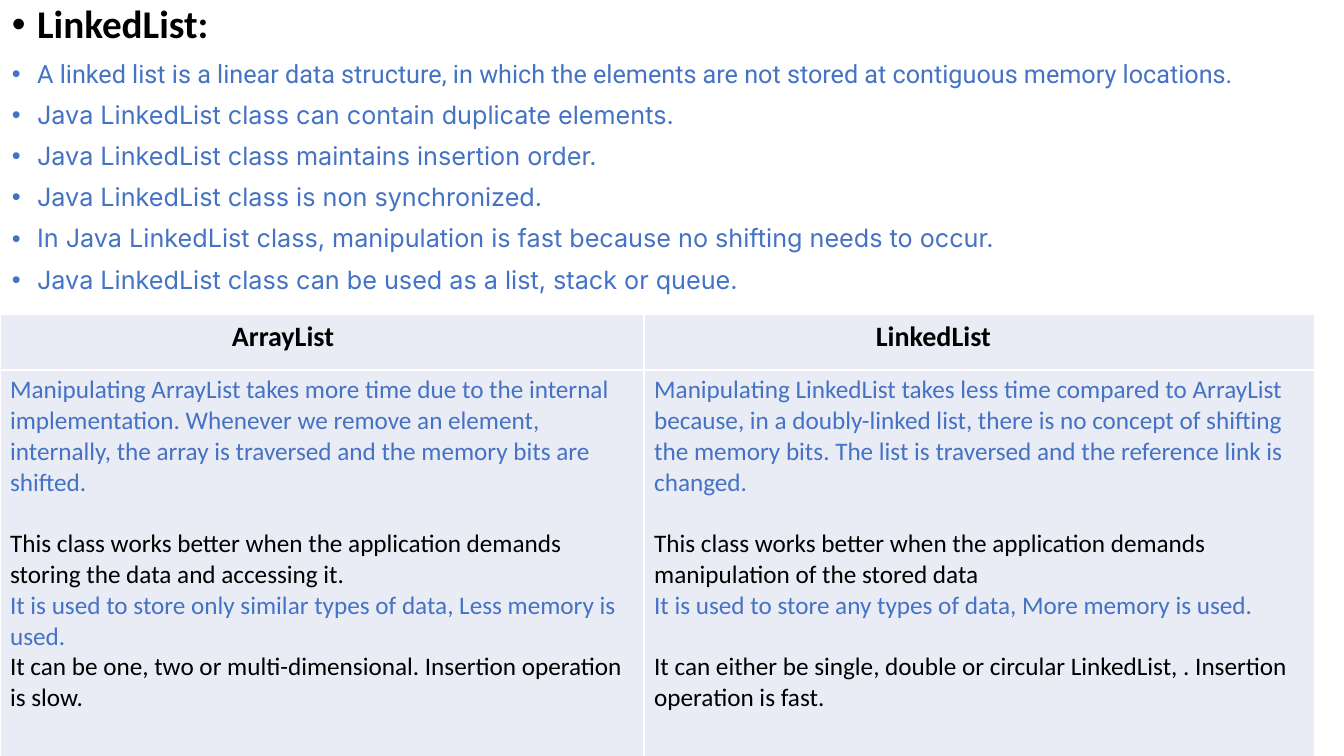
import pptx
import pptx.dml.color
import pptx.enum.text
import pptx.oxml
import pptx.oxml.ns
import pptx.util
from lxml import etree

Pt = pptx.util.Pt
ALIGN = pptx.enum.text.PP_ALIGN

COLOURS = {"black": "000000", "blue": "4472C4", "cell": "E9EBF5", "border": "FFFFFF"}
BULLET_INDENT = 18
HEADER_INDENT = 165.6
BLANK_LINE = 22

TITLE = {"size": Pt(28), "name": "Calibri", "bold": True}
DEFINITION = {"size": Pt(18), "name": "Roboto", "bold": False}
FEATURE = {"size": Pt(18), "name": "Inter", "bold": False}
HEADER = {"size": Pt(20), "name": "Calibri", "bold": True}
BODY = {"size": Pt(18), "name": "Calibri", "bold": False}

FEATURES = [
    "Java LinkedList class can contain duplicate elements.",
    "Java LinkedList class maintains insertion order.",
    "Java LinkedList class is non synchronized.",
    "In Java LinkedList class, manipulation is fast because no shifting needs to occur.",
    "Java LinkedList class can be used as a list, stack or queue.",
]
BULLETS = [
    ("LinkedList:", TITLE, "black", ALIGN.LEFT),
    ("A linked list is a linear data structure, in which the elements are not stored "
     "at contiguous memory locations.", DEFINITION, "blue", ALIGN.LEFT),
] + [(feature, FEATURE, "blue", ALIGN.JUSTIFY) for feature in FEATURES]

# Each column: heading, then (text, space before) for every paragraph
COLUMNS = [
    ("ArrayList", [
        ("Manipulating ArrayList takes more time due to the internal implementation. "
         "Whenever we remove an element, internally, the array is traversed and the "
         "memory bits are shifted.", 0),
        ("This class works better when the application demands storing the data and "
         "accessing it.", BLANK_LINE),
        ("It is used to store only similar types of data, Less memory is used.", 0),
        ("It can be one, two or multi-dimensional. Insertion operation is slow.", 0),
    ]),
    ("LinkedList", [
        ("Manipulating LinkedList takes less time compared to ArrayList because, in a "
         "doubly-linked list, there is no concept of shifting the memory bits. The list "
         "is traversed and the reference link is changed.", 0),
        ("This class works better when the application demands manipulation of the "
         "stored data", BLANK_LINE),
        ("It is used to store any types of data, More memory is used.", 0),
        ("It can either be single, double or circular LinkedList, . Insertion operation "
         "is fast.", BLANK_LINE),
    ]),
]


def colour(name):
    return pptx.dml.color.RGBColor.from_string(COLOURS[name])


def set_all(target, values):
    for name, value in values.items():
        setattr(target, name, value)


def add_para(frame, index, text, font, colour_name, layout):
    para = frame.paragraphs[0] if index == 0 else frame.add_paragraph()
    set_all(para, layout)
    span = para.add_run()
    span.text = text
    set_all(span.font, font)
    span.font.color.rgb = colour(colour_name)
    return para


def add_bullet(para):
    properties = para._p.get_or_add_pPr()
    properties.set("marL", str(Pt(BULLET_INDENT)))
    properties.set("indent", str(-Pt(BULLET_INDENT)))
    for tag, key, value in (("buFont", "typeface", "Arial"), ("buChar", "char", "•")):
        etree.SubElement(properties, pptx.oxml.ns.qn("a:" + tag)).set(key, value)


def add_bullet_list(page, bullets, left, top, width, height):
    frame = page.shapes.add_textbox(Pt(left), Pt(top), Pt(width), Pt(height)).text_frame
    frame.word_wrap = True
    for index, (text, font, colour_name, alignment) in enumerate(bullets):
        layout = {"alignment": alignment, "line_spacing": 0.9, "space_before": Pt(10)}
        add_bullet(add_para(frame, index, text, font, colour_name, layout))


def style_cell(cell):
    properties = cell._tc.get_or_add_tcPr()
    for side in ("lnL", "lnR", "lnT", "lnB"):
        properties.append(pptx.oxml.parse_xml(
            f'<a:{side} {pptx.oxml.ns.nsdecls("a")} w="{Pt(1)}"><a:solidFill>'
            f'<a:srgbClr val="{COLOURS["border"]}"/></a:solidFill></a:{side}>'))
    cell.fill.solid()
    cell.fill.fore_color.rgb = colour("cell")


def add_comparison(page, columns, left, top, widths, heights):
    table = page.shapes.add_table(len(heights), len(widths), Pt(left), Pt(top),
                                  Pt(sum(widths)), Pt(sum(heights))).table
    set_all(table, {"first_row": False, "horz_banding": False})
    for row, height in zip(table.rows, heights):
        row.height = Pt(height)
    for number, (heading, paragraphs) in enumerate(columns):
        table.columns[number].width = Pt(widths[number])
        header, body = table.cell(0, number), table.cell(1, number)
        for cell in (header, body):
            style_cell(cell)
        header.margin_left = Pt(HEADER_INDENT)
        add_para(header.text_frame, 0, heading, HEADER, "black", {})
        for index, (text, gap) in enumerate(paragraphs):
            colour_name = "black" if index % 2 else "blue"
            add_para(body.text_frame, index, text, BODY, colour_name,
                     {"space_before": Pt(gap)})


def main():
    deck = pptx.Presentation()
    set_all(deck, {"slide_width": Pt(960), "slide_height": Pt(540)})
    page = deck.slides.add_slide(deck.slide_layouts[6])

    # Definition and features
    add_bullet_list(page, BULLETS, 1.44, 0, 958.56, 540)

    # ArrayList against LinkedList
    add_comparison(page, COLUMNS, 0, 224.64, (460.08, 478.8), (39.6, 276))

    deck.save("out.pptx")


if __name__ == "__main__":
    main()
